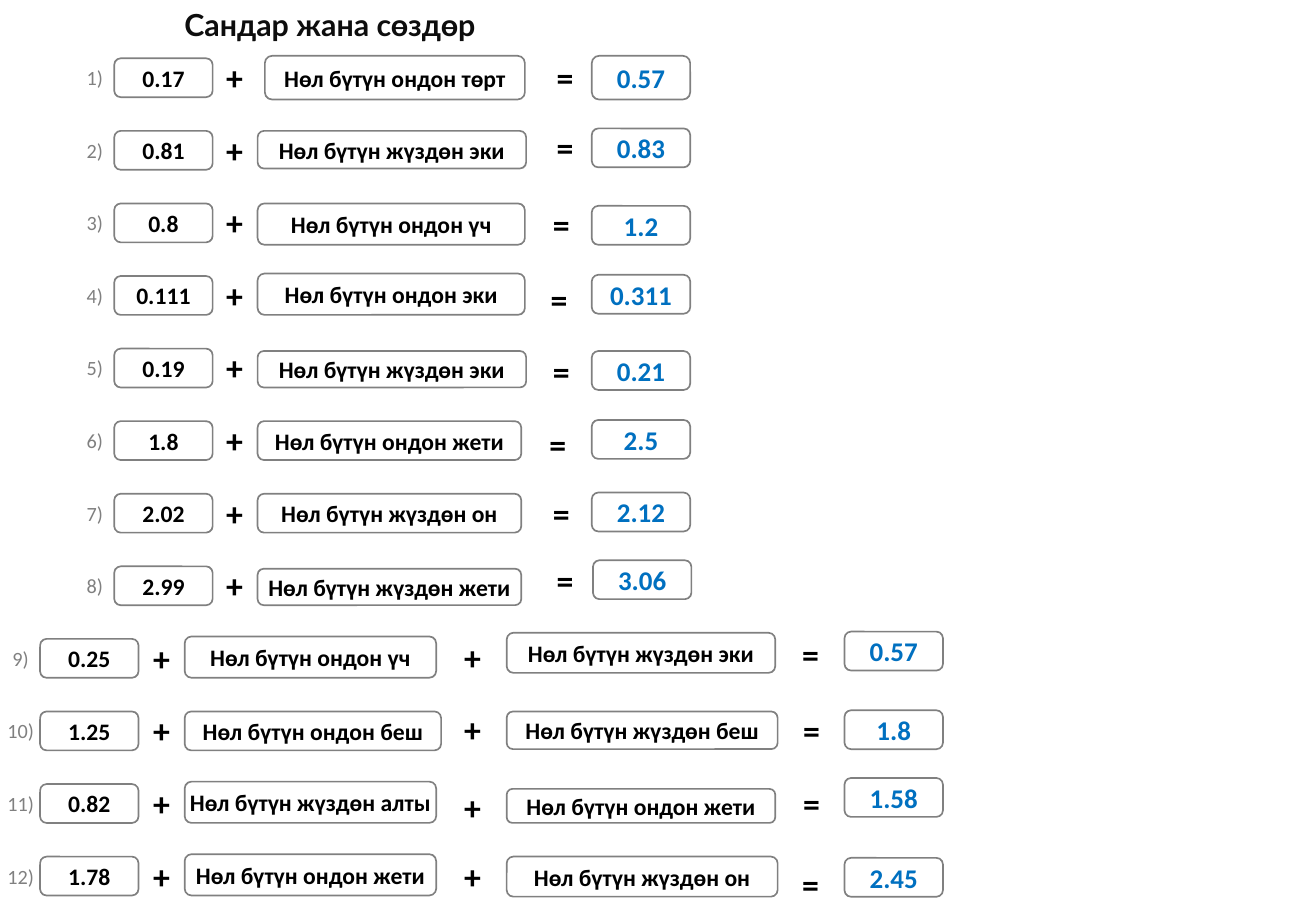
import pptx
import pptx.dml.color
import pptx.enum.shapes
import pptx.enum.text
import pptx.util

EMU_PER_PX = 9144  # 100 px to the inch
COLOURS = {"title": "0D0D0D", "ink": "000000", "answer": "0070C0", "grey": "808080"}
CARD_WIDTH, CARD_HEIGHT = 81, 32
SIGN_WIDTH, SIGN_HEIGHT = 34, 44

# Each sum: number, addends, equals sign, answer.
# Addend: words, (shift right, shift down, width, height), shift down of its plus sign.
# Equals sign: (shift right, shift down). Answer: text, (shift right, shift down, height).
TWO_TERM_SUMS = [
    ("0.17", [("Нөл бүтүн ондон төрт", (6, -2, 214, 36), -6)], (6, -6), ("0.57", (0, -2, 36))),
    ("0.81", [("Нөл бүтүн жүздөн эки", (0, 0, 221, 31), -6)], (6, -8), ("0.83", (0, -2, 32))),
    ("0.8", [("Нөл бүтүн ондон үч", (0, 0, 220, 34), -6)], (3, -5), ("1.2", (0, 2, 32))),
    ("0.111", [("Нөл бүтүн ондон эки", (0, -2, 220, 34), -6)], (1, -3), ("0.311", (0, -1, 32))),
    ("0.19", [("Нөл бүтүн жүздөн эки", (0, 2, 221, 30), -6)], (3, -3), ("0.21", (0, 2, 32))),
    ("1.8", [("Нөл бүтүн ондон жети", (0, 0, 217, 32), -6)], (0, -3), ("2.5", (0, -1, 32))),
    ("2.02", [("Нөл бүтүн жүздөн он", (0, 0, 217, 32), -6)], (3, -6), ("2.12", (0, -1, 32))),
    ("2.99", [("Нөл бүтүн жүздөн жети", (0, 2, 217, 30), -6)], (6, -10), ("3.06", (1, -5, 32))),
]
THREE_TERM_SUMS = [
    ("0.25", [("Нөл бүтүн ондон үч", (0, -2, 207, 34), -6),
              ("Нөл бүтүн жүздөн эки", (0, -5, 221, 33), -7)], (0, -9), ("0.57", (0, -6, 32))),
    ("1.25", [("Нөл бүтүн ондон беш", (0, 0, 211, 32), -6),
              ("Нөл бүтүн жүздөн беш", (0, 0, 223, 31), -7)], (1, -6), ("1.8", (0, -1, 32))),
    ("0.82", [("Нөл бүтүн жүздөн алты", (0, -2, 207, 34), -6),
              ("Нөл бүтүн ондон жети", (0, 4, 221, 28), -3)], (1, -6), ("1.58", (0, -5, 32))),
    ("1.78", [("Нөл бүтүн ондон жети", (0, -2, 207, 34), -6),
              ("Нөл бүтүн жүздөн он", (0, 0, 223, 33), -6)], (0, 1), ("2.45", (0, 1, 32))),
]


def px(length):
    return pptx.util.Emu(round(length * EMU_PER_PX))


def write(shape, text, size, colour="ink", bold=True, font="Calibri"):
    para = shape.text_frame.paragraphs[0]
    para.alignment = pptx.enum.text.PP_ALIGN.CENTER
    span = para.add_run()
    span.text = text
    span.font.name = font
    span.font.size = pptx.util.Pt(size)
    span.font.bold = bold
    span.font.color.rgb = pptx.dml.color.RGBColor.from_string(COLOURS[colour])


def fit_to_text(frame):
    frame.word_wrap = False
    frame.auto_size = pptx.enum.text.MSO_AUTO_SIZE.SHAPE_TO_FIT_TEXT
    frame.vertical_anchor = pptx.enum.text.MSO_ANCHOR.TOP


def add_label(page, box, text, **text_format):
    label = page.shapes.add_textbox(*map(px, box))
    fit_to_text(label.text_frame)
    write(label, text, **text_format)


def add_sign(page, left, top, sign):
    add_label(page, (left, top, SIGN_WIDTH, SIGN_HEIGHT), sign, size=20)


def add_card(page, box, text, **text_format):
    card = page.shapes.add_shape(
        pptx.enum.shapes.MSO_SHAPE.ROUNDED_RECTANGLE, *map(px, box))
    card.shadow.inherit = False
    card.fill.background()
    card.line.color.rgb = pptx.dml.color.RGBColor.from_string(COLOURS["grey"])
    card.line.width = pptx.util.Pt(1)
    frame = card.text_frame
    frame.margin_left = frame.margin_top = frame.margin_right = frame.margin_bottom = 0
    frame.word_wrap = True
    frame.vertical_anchor = pptx.enum.text.MSO_ANCHOR.MIDDLE
    write(card, text, **text_format)


def add_title(page, box, text):
    title = page.shapes.title
    title.left, title.top, title.width, title.height = map(px, box)
    fit_to_text(title.text_frame)
    write(title, text, size=18, colour="title", font="Lato")


def add_sums(page, box, sums, first_index, addend_columns, equals_column):
    """Spread the sums evenly down the box; columns are offsets from its left.

    Each addend column is a pair: plus sign, words. The answers end at the right edge.
    """
    left, top, width, height = box
    for row, (number, addends, equals, answer) in enumerate(sums):
        row_top = top + row * height / len(sums)
        index = f"{first_index + row})"
        index_width = 34 if len(index) == 2 else 42
        add_label(page, (left - 16 - index_width / 2, row_top + 1, index_width, 30),
                  index, size=12, colour="grey", bold=False)
        add_card(page, (left, row_top, CARD_WIDTH, CARD_HEIGHT), number, size=14)
        for (plus_column, words_column), addend in zip(addend_columns, addends):
            words, (right, down, words_width, words_height), plus_down = addend
            add_sign(page, left + plus_column, row_top + plus_down, "+")
            add_card(page, (left + words_column + right, row_top + down,
                            words_width, words_height), words, size=14)
        add_sign(page, left + equals_column + equals[0], row_top + equals[1], "=")
        result, (right, down, card_height) = answer
        add_card(page, (left + width - CARD_WIDTH + right, row_top + down,
                        CARD_WIDTH, card_height), result, size=16, colour="answer")


def main():
    deck = pptx.Presentation()
    deck.slide_width, deck.slide_height = px(1083), px(750)
    page = deck.slides.add_slide(deck.slide_layouts.get_by_name("Title Only"))
    add_title(page, (139, 0, 265, 40), "Сандар жана сөздөр")
    add_sums(page, (94, 48, 474, 478), TWO_TERM_SUMS, 1, [(82, 118)], 348)
    add_sums(page, (33, 526, 743, 239), THREE_TERM_SUMS, 9, [(83, 119), (339, 384)], 617)
    deck.save("out.pptx")


if __name__ == "__main__":
    main()
